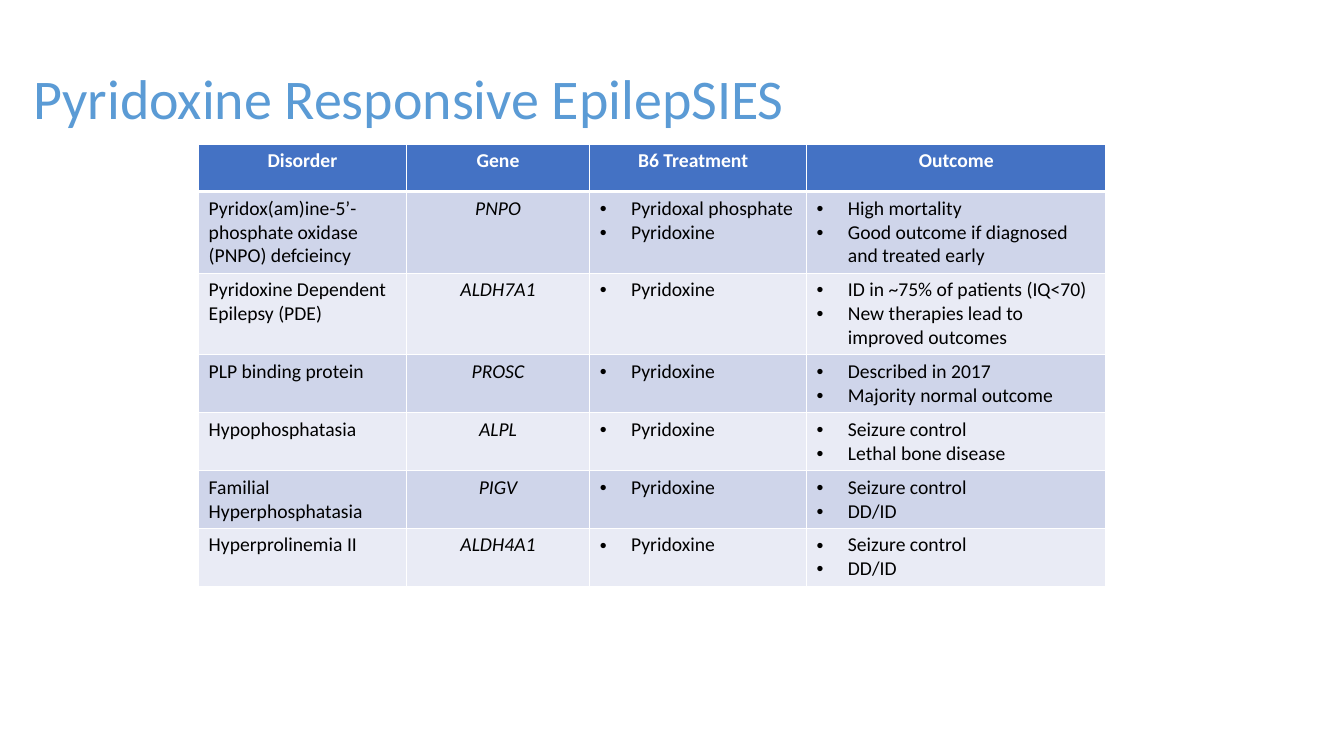
from lxml import etree
from pptx import Presentation, util as u
from pptx.dml.color import RGBColor
from pptx.enum import text
from pptx.oxml import ns

WHITE = RGBColor(0xFF, 0xFF, 0xFF)
BLACK = RGBColor(0, 0, 0)
SKY = RGBColor(0x5B, 0x9B, 0xD5)
BLUE = RGBColor(0x44, 0x72, 0xC4)
BANDS = [RGBColor(0xCF, 0xD5, 0xEA), RGBColor(0xE9, 0xEB, 0xF5)]
LEFT, CENTER = text.PP_ALIGN.LEFT, text.PP_ALIGN.CENTER


def write(tf, lines, size=14, color=BLACK, bold=False, italic=False, align=LEFT, bullet=False, spacing=None):
    for i, line in enumerate(lines):
        p = tf.paragraphs[0] if i == 0 else tf.add_paragraph()
        p.alignment = align
        if spacing:
            p.line_spacing = spacing
        if bullet:
            pPr = p._p.get_or_add_pPr()
            pPr.set("marL", str(u.Inches(0.31)))
            pPr.set("indent", str(-u.Inches(0.31)))
            etree.SubElement(pPr, ns.qn("a:buFont"), typeface="Arial")
            etree.SubElement(pPr, ns.qn("a:buChar"), char="•")
        r = p.add_run()
        r.text = line
        f = r.font
        f.name, f.size, f.bold, f.italic = "Calibri", u.Pt(size), bold, italic
        f.color.rgb = color


def border(cell, side, width):
    ln = etree.SubElement(cell._tc.get_or_add_tcPr(), ns.qn("a:ln" + side), w=str(u.Pt(width)))
    fill = etree.SubElement(ln, ns.qn("a:solidFill"))
    etree.SubElement(fill, ns.qn("a:srgbClr"), val=str(WHITE))


prs = Presentation()
prs.slide_width, prs.slide_height = u.Inches(13.33), u.Inches(7.5)
s = prs.slides.add_slide(prs.slide_layouts[5])

title = s.shapes.title
title.left, title.top = u.Inches(0.23), u.Inches(0.16)
title.width, title.height = u.Inches(12.19), u.Inches(1.69)
title.text_frame.vertical_anchor = text.MSO_ANCHOR.MIDDLE
write(title.text_frame, ["Pyridoxine Responsive EpilepSIES"], size=40, color=SKY, spacing=0.9)

heads = ["Disorder", "Gene", "B6 Treatment", "Outcome"]
disorders = [
    ("Pyridox(am)ine-5’-phosphate oxidase (PNPO) defcieincy", "PNPO",
     ["Pyridoxal phosphate", "Pyridoxine"],
     ["High mortality", "Good outcome if diagnosed and treated early"]),
    ("Pyridoxine Dependent Epilepsy (PDE)", "ALDH7A1", ["Pyridoxine"],
     ["ID in ~75% of patients (IQ<70)", "New therapies lead to improved outcomes"]),
    ("PLP binding protein", "PROSC", ["Pyridoxine"],
     ["Described in 2017", "Majority normal outcome"]),
    ("Hypophosphatasia", "ALPL", ["Pyridoxine"], ["Seizure control", "Lethal bone disease"]),
    ("Familial Hyperphosphatasia", "PIGV", ["Pyridoxine"], ["Seizure control", "DD/ID"]),
    ("Hyperprolinemia II", "ALDH4A1", ["Pyridoxine"], ["Seizure control", "DD/ID"]),
]
widths = [2.06, 1.82, 2.15, 2.97]
heights = [0.47, 0.78, 0.81] + [0.47] * 4

table = s.shapes.add_table(len(heights), len(widths), u.Inches(1.97), u.Inches(1.43),
                           u.Inches(sum(widths)), u.Inches(sum(heights))).table
for col, width in zip(table.columns, widths):
    col.width = u.Inches(width)
for row, height in zip(table.rows, heights):
    row.height = u.Inches(height)

for c, head in enumerate(heads):
    write(table.cell(0, c).text_frame, [head], color=WHITE, bold=True, align=CENTER)
table.cell(0, 2).margin_right = u.Inches(0.2)

for n, (disorder, gene, treatments, outcomes) in enumerate(disorders, 1):
    write(table.cell(n, 0).text_frame, [disorder])
    write(table.cell(n, 1).text_frame, [gene], italic=True, align=CENTER)
    write(table.cell(n, 2).text_frame, treatments, bullet=True)
    write(table.cell(n, 3).text_frame, outcomes, bullet=True)

for n, row in enumerate(table.rows):
    for cell in row.cells:
        for side in "LRTB":
            thick = (n == 0 and side == "B") or (n == 1 and side == "T")
            border(cell, side, 3 if thick else 1)
        cell.fill.solid()
        cell.fill.fore_color.rgb = BANDS[(n - 1) % 2] if n else BLUE

prs.save("out.pptx")
